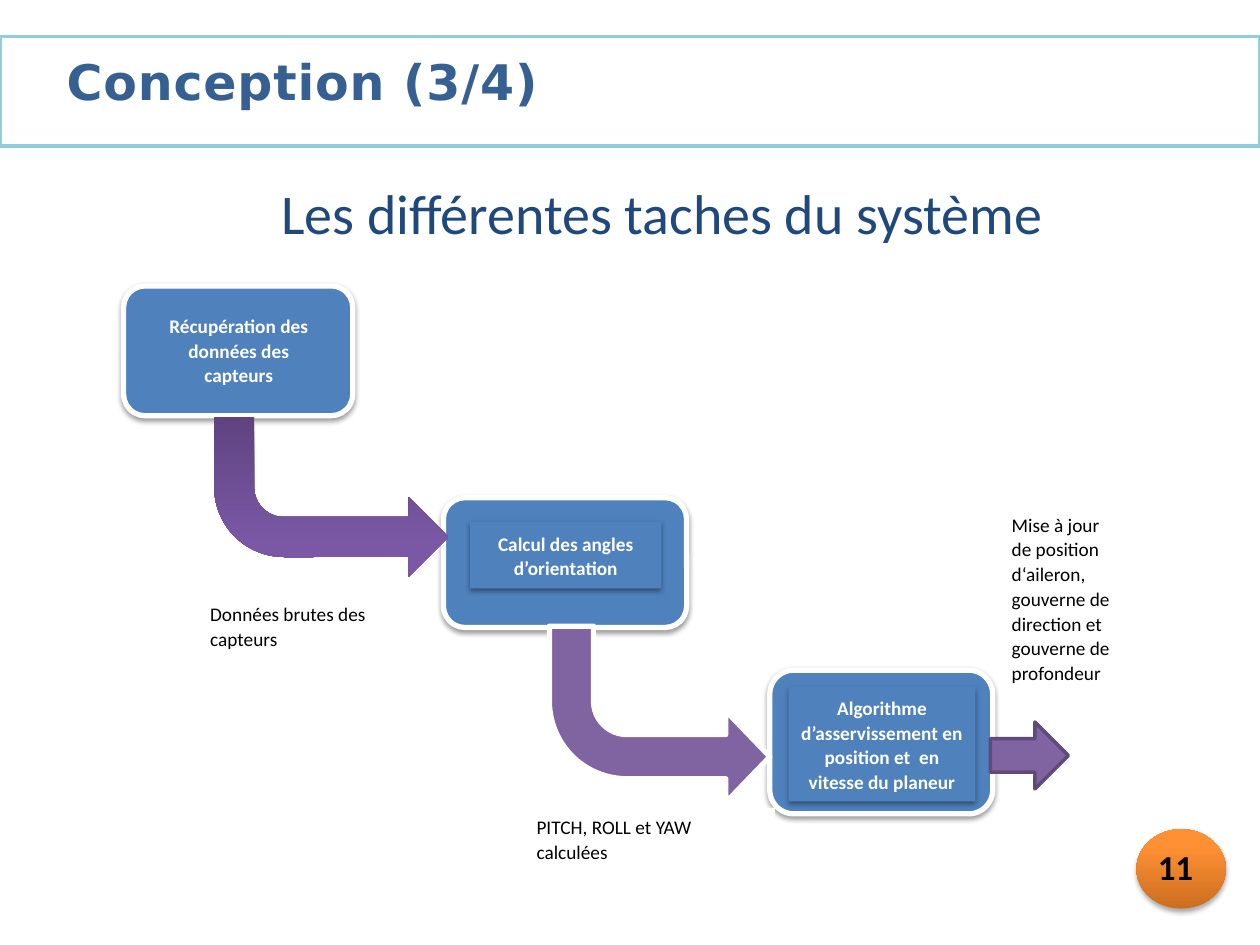
from pptx import Presentation
from pptx.util import Pt
from pptx.dml.color import RGBColor
from pptx.enum.shapes import MSO_SHAPE as Preset
from pptx.enum.text import MSO_ANCHOR as Anchor, PP_ALIGN as Align
from pptx.oxml.ns import qn
from lxml.etree import SubElement
from copy import deepcopy

WHITE = RGBColor(0xFF, 0xFF, 0xFF)
BLACK = RGBColor(0, 0, 0)
NAVY = RGBColor(0x1F, 0x49, 0x7D)
STEEL = RGBColor(0x37, 0x60, 0x92)
SKY = RGBColor(0x93, 0xCD, 0xDD)
BLUE = RGBColor(0x4F, 0x81, 0xBD)
PURPLE = RGBColor(0x80, 0x64, 0xA2)
PLUM = RGBColor(0x5F, 0x4A, 0x78)
ORANGES = [(0, RGBColor(0xCC, 0x6E, 0x20)), (0.8, RGBColor(0xFF, 0x90, 0x34)),
           (1, RGBColor(0xFF, 0x91, 0x36))]
PURPLES = [(0, RGBColor(0x5F, 0x44, 0x80)), (0.8, RGBColor(0x7B, 0x58, 0xA6)),
           (1, RGBColor(0x7C, 0x57, 0xA8))]


class SlideBuilder:
    font = "Calibri"
    title_font = "DejaVu Sans"
    body_size = 11

    def __init__(self, slide):
        self.slide = slide

    def shape(self, preset, box, fill, line=None, width=0, shadow=None):
        shape = self.slide.shapes.add_shape(preset, *map(Pt, box))
        shape.shadow.inherit = False
        if isinstance(fill, list):
            self.gradient(shape, fill)
        else:
            shape.fill.solid()
            shape.fill.fore_color.rgb = fill
        if line is None:
            shape.line.fill.background()
        else:
            shape.line.color.rgb = line
            shape.line.width = Pt(width)
        if shadow:
            self.shadow(shape, *shadow)
        return shape

    def gradient(self, shape, colours):
        shape.fill.gradient()
        shape.fill.gradient_angle = 90
        stops = shape._element.spPr.find(".//" + qn("a:gsLst"))
        stops.append(deepcopy(stops[0]))
        for stop, (position, colour) in zip(shape.fill.gradient_stops, colours):
            stop.position = position
            stop.color.rgb = colour

    def shadow(self, shape, distance, opacity):
        effects = shape._element.spPr.find(qn("a:effectLst"))
        outer = SubElement(effects, qn("a:outerShdw"), blurRad=str(Pt(3.1)),
                           dist=str(Pt(distance)), dir="5400000", rotWithShape="0")
        colour = SubElement(outer, qn("a:srgbClr"), val="000000")
        SubElement(colour, qn("a:alpha"), val=str(opacity * 1000))

    def fill_text(self, shape, text, size, colour, bold=False, align=Align.LEFT,
                  anchor=Anchor.TOP, font=None):
        frame = shape.text_frame
        frame.word_wrap = True
        frame.vertical_anchor = anchor
        frame.text = text
        paragraph = frame.paragraphs[0]
        paragraph.alignment = align
        run = paragraph.runs[0]
        run.font.name = font or self.font
        run.font.size = Pt(size)
        run.font.bold = bold
        run.font.color.rgb = colour
        return paragraph

    def text(self, box, text, size, colour, **style):
        return self.fill_text(self.slide.shapes.add_textbox(*map(Pt, box)),
                              text, size, colour, **style)

    def body(self, shape, text, colour, **style):
        paragraph = self.fill_text(shape, text, self.body_size, colour, **style)
        paragraph.line_spacing = 1.07
        paragraph.space_after = Pt(8)

    def step_text(self, box, text, shadow=None):
        self.body(self.shape(Preset.RECTANGLE, box, BLUE, shadow=shadow), text, WHITE,
                  bold=True, align=Align.CENTER, anchor=Anchor.MIDDLE)

    def note(self, box, text):
        self.body(self.shape(Preset.RECTANGLE, box, WHITE), text, BLACK)

    def bent_arrow(self, box, fill, line=None, width=0, adjustments=()):
        arrow = self.shape(Preset.BENT_ARROW, box, fill, line, width)
        arrow.rotation = 180
        arrow._element.spPr.find(qn("a:xfrm")).set("flipH", "1")
        for index, value in enumerate(adjustments):
            arrow.adjustments[index] = value


def main():
    deck = Presentation()
    deck.slide_width, deck.slide_height = Pt(720), Pt(540)
    page = SlideBuilder(deck.slides.add_slide(deck.slide_layouts[6]))
    step_shadow = (1.6, 38)

    page.text((43.9, 98.6, 668.9, 48), "Les différentes taches du système", 32, NAVY,
              align=Align.CENTER)
    page.shape(Preset.RECTANGLE, (0, 20.9, 720, 62.6), WHITE, SKY, 2)
    heading = page.text((31, 25.9, 306, 41), "Conception (3/4)", 28, STEEL,
                        bold=True, font=page.title_font)
    heading.runs[0]._r.get_or_add_rPr().set("spc", "50")

    page.shape(Preset.OVAL, (649.4, 473.8, 51.1, 45.4), ORANGES, shadow=(1.8, 35))
    page.text((654.5, 479.5, 39.6, 31.7), "11", 20, BLACK, bold=True)

    for step in [(70.6, 163.4, 131, 74.2), (253.4, 284.4, 139, 74.2),
                 (439.9, 383, 127.4, 82.1)]:
        page.shape(Preset.ROUNDED_RECTANGLE, step, BLUE, WHITE, 3, step_shadow)

    page.step_text((89.3, 174.2, 94.3, 51.1), "Récupération des données des capteurs")
    page.step_text((268.6, 298.1, 109.4, 38.2), "Calcul des angles d’orientation",
                   step_shadow)
    page.step_text((450.7, 392.4, 106.6, 65.5),
                   "Algorithme d’asservissement en position et  en vitesse du planeur",
                   step_shadow)

    page.bent_arrow((122.4, 238.3, 133.9, 91.4), PURPLES)
    page.bent_arrow((313.9, 357.8, 126, 100.8), PURPLE, WHITE, 3,
                    (0.25, 0.26, 0.25, 0.44))
    page.shape(Preset.RIGHT_ARROW, (565.9, 412.6, 44.6, 38.2), PURPLE, PLUM, 2)

    page.note((113, 339.8, 118.8, 35.3), "Données brutes des capteurs")
    page.note((299.5, 461.5, 143.3, 35.3), "PITCH, ROLL et YAW calculées")
    page.note((571, 288.7, 71.3, 121.7),
              "Mise à jour de position  d‘aileron, gouverne de direction et "
              "gouverne de profondeur")

    deck.save("out.pptx")


if __name__ == "__main__":
    main()
